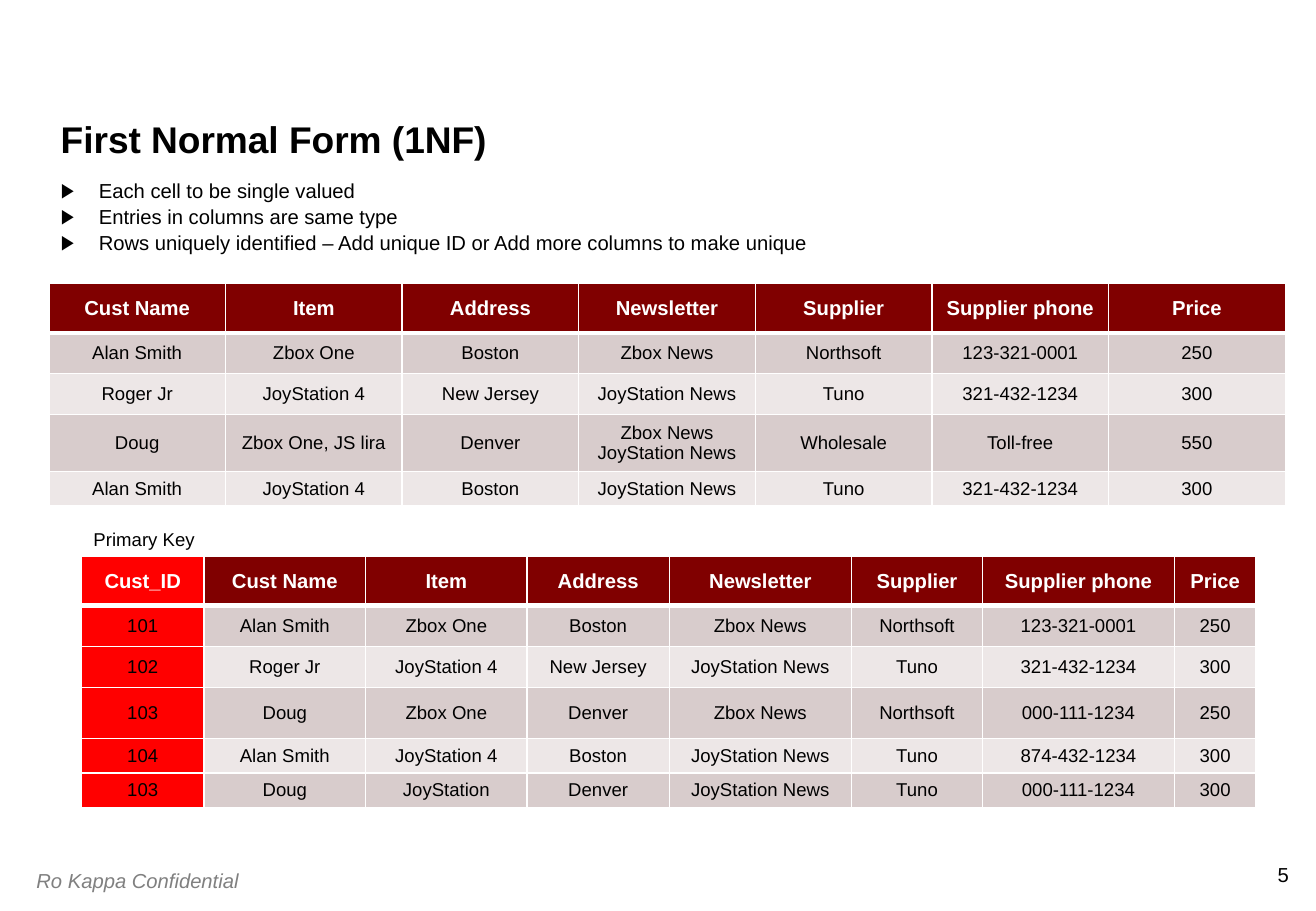
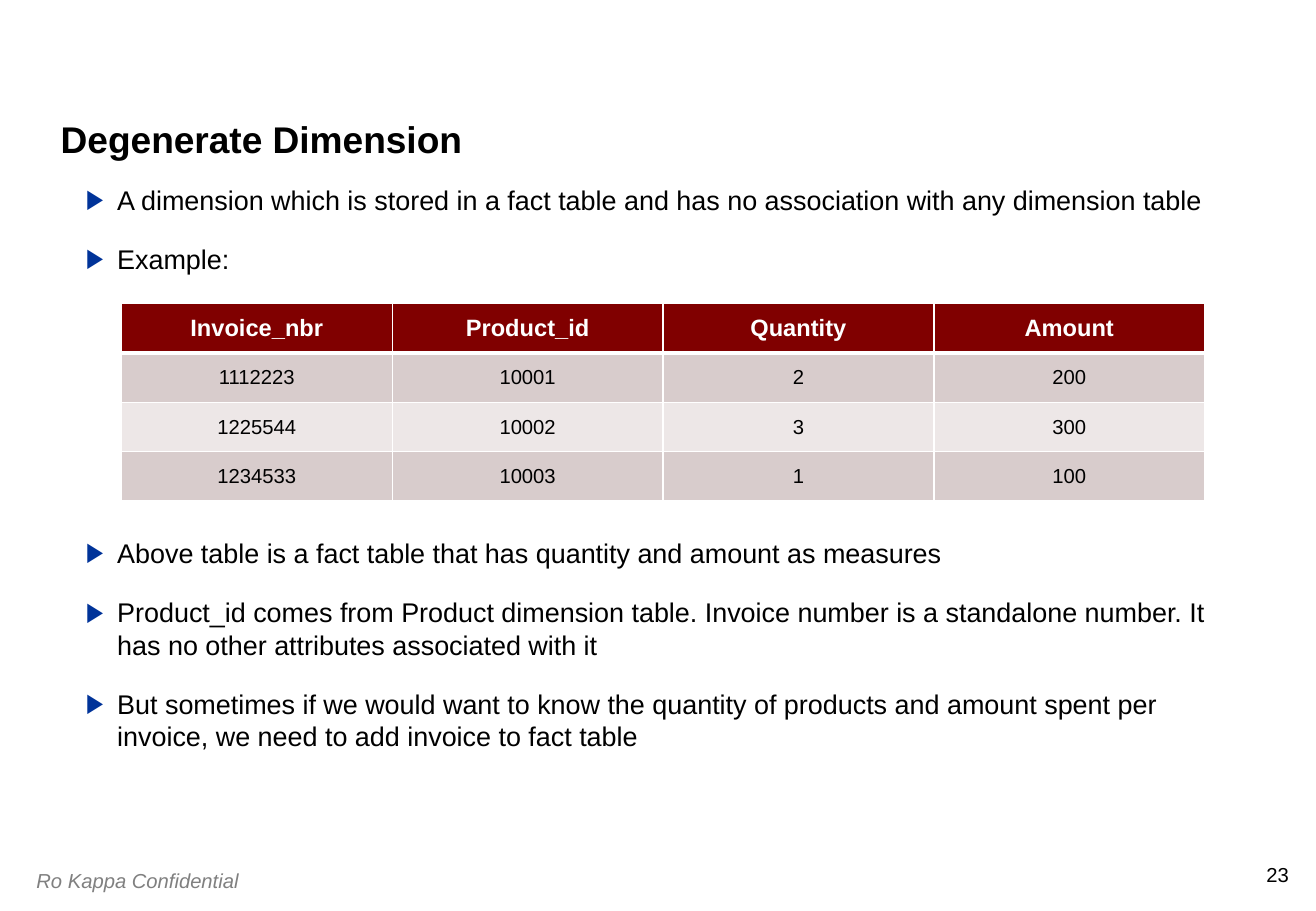
import pptx
import pptx.dml.color
import pptx.enum.text
import pptx.oxml
import pptx.oxml.ns
import pptx.util
from lxml import etree

Pt = pptx.util.Pt
ALIGN = pptx.enum.text.PP_ALIGN
ANCHOR = pptx.enum.text.MSO_ANCHOR


class Theme:
    font = "Arial"
    black = "000000"
    white = "FFFFFF"
    gray = "808080"
    header = "800000"
    key = "FF0000"
    bands = ("D8CCCC", "EDE7E7")
    accent = "003399"
    title_size = 22
    body_size = 16
    small_size = 12
    label_size = 11
    grid_line = 1
    header_line = 3


FOOTER = "Ro Kappa Confidential"

NORMAL_FORM_RULES = [
    "Each cell to be single valued",
    "Entries in columns are same type",
    "Rows uniquely identified – Add unique ID or Add more columns to make unique",
]
ORDER_COLUMNS = ("Cust Name", "Item", "Address", "Newsletter", "Supplier", "Supplier phone", "Price")
RAW_ORDERS = [
    ORDER_COLUMNS,
    ("Alan Smith", "Zbox One", "Boston", "Zbox News", "Northsoft", "123-321-0001", "250"),
    ("Roger Jr", "JoyStation 4", "New Jersey", "JoyStation News", "Tuno", "321-432-1234", "300"),
    ("Doug", "Zbox One, JS lira", "Denver", "Zbox News\nJoyStation News", "Wholesale", "Toll-free", "550"),
    ("Alan Smith", "JoyStation 4", "Boston", "JoyStation News", "Tuno", "321-432-1234", "300"),
]
KEYED_ORDERS = [
    ("Cust_ID", *ORDER_COLUMNS),
    ("101", *RAW_ORDERS[1]),
    ("102", *RAW_ORDERS[2]),
    ("103", "Doug", "Zbox One", "Denver", "Zbox News", "Northsoft", "000-111-1234", "250"),
    ("104", "Alan Smith", "JoyStation 4", "Boston", "JoyStation News", "Tuno", "874-432-1234", "300"),
    ("103", "Doug", "JoyStation", "Denver", "JoyStation News", "Tuno", "000-111-1234", "300"),
]
ORDER_HEIGHTS = [29.25, 24.25, 24.25, 30.25, 20.25]
KEYED_WIDTHS = [72.75, 95.75, 95.75, 84.25, 108, 77.75, 113.75, 48.25]

DEFINITION = [
    "A dimension which is stored in a fact table and has no association with any dimension table",
    "Example:",
]
INVOICES = [
    ("Invoice_nbr", "Product_id", "Quantity", "Amount"),
    ("1112223", "10001", "2", "200"),
    ("1225544", "10002", "3", "300"),
    ("1234533", "10003", "1", "100"),
]
EXPLANATION = [
    "Above table is a fact table that has quantity and amount as measures",
    "Product_id comes from Product dimension table. Invoice number is a standalone number. "
    "It has no other attributes associated with it",
    "But sometimes if we would want to know the quantity of products and amount spent per invoice, "
    "we need to add invoice to fact table",
]


def rgb(color):
    return pptx.dml.color.RGBColor.from_string(color)


def format_text(text_frame, size, color=Theme.black, bold=False, italic=False, align=ALIGN.LEFT):
    for paragraph in text_frame.paragraphs:
        paragraph.alignment = align
        for run in paragraph.runs:
            run.font.name = Theme.font
            run.font.size = Pt(size)
            run.font.bold = bold
            run.font.italic = italic
            run.font.color.rgb = rgb(color)


def add_text(slide, box, text, size, inset=True, wrap=True, anchor=ANCHOR.TOP, **style):
    shape = slide.shapes.add_textbox(*map(Pt, box))
    text_frame = shape.text_frame
    text_frame.word_wrap = wrap
    text_frame.vertical_anchor = anchor
    if not inset:
        text_frame.margin_left = text_frame.margin_right = 0
        text_frame.margin_top = text_frame.margin_bottom = 0
    text_frame.text = text
    format_text(text_frame, size, **style)
    return text_frame


def add_bullets(slide, box, items, size, indent, gap, color, inset):
    text_frame = add_text(slide, box, "\n".join(items), size, inset=inset)
    for index, paragraph in enumerate(text_frame.paragraphs):
        paragraph.space_before = Pt(gap if index else 0)
        properties = paragraph._p.get_or_add_pPr()
        properties.set("marL", str(Pt(indent)))
        properties.set("indent", str(-Pt(indent)))
        bullet_color = etree.SubElement(properties, pptx.oxml.ns.qn("a:buClr"))
        etree.SubElement(bullet_color, pptx.oxml.ns.qn("a:srgbClr"), val=color)
        etree.SubElement(properties, pptx.oxml.ns.qn("a:buFont"), typeface=Theme.font)
        etree.SubElement(properties, pptx.oxml.ns.qn("a:buChar"), char="▶")


def set_borders(cell, top, bottom):
    properties = cell._tc.get_or_add_tcPr()
    widths = {"lnL": Theme.grid_line, "lnR": Theme.grid_line, "lnT": top, "lnB": bottom}
    for side, width in widths.items():
        properties.append(pptx.oxml.parse_xml(
            f'<a:{side} {pptx.oxml.ns.nsdecls("a")} w="{Pt(width)}"><a:solidFill>'
            f'<a:srgbClr val="{Theme.white}"/></a:solidFill></a:{side}>'
        ))


def add_grid(slide, left, top, widths, heights, rows, header_size, cell_size, keyed=False):
    frame = slide.shapes.add_table(
        len(rows), len(widths), Pt(left), Pt(top), Pt(sum(widths)), Pt(sum(heights)))
    table = frame.table
    for column, width in zip(table.columns, widths):
        column.width = Pt(width)
    for row_index, (values, height) in enumerate(zip(rows, heights)):
        table.rows[row_index].height = Pt(height)
        is_header = row_index == 0
        row_fill = Theme.header if is_header else Theme.bands[(row_index - 1) % 2]
        for column_index, value in enumerate(values):
            cell = table.cell(row_index, column_index)
            set_borders(
                cell,
                Theme.header_line if row_index == 1 else Theme.grid_line,
                Theme.header_line if is_header else Theme.grid_line)
            cell.fill.solid()
            cell.fill.fore_color.rgb = rgb(Theme.key if keyed and column_index == 0 else row_fill)
            cell.vertical_anchor = ANCHOR.MIDDLE
            cell.text_frame.text = value
            format_text(
                cell.text_frame,
                header_size if is_header else cell_size,
                color=Theme.white if is_header else Theme.black,
                bold=is_header,
                align=ALIGN.CENTER)


def add_page(presentation, title, number):
    slide = presentation.slides.add_slide(presentation.slide_layouts[6])
    add_text(slide, (749, 511, 15, 14.5), number, Theme.small_size,
             inset=False, wrap=False, align=ALIGN.RIGHT)
    add_text(slide, (14.5, 511, 144, 21.5), FOOTER, Theme.small_size, color=Theme.gray, italic=True)
    heading = add_text(slide, (36, 30, 708, 66), title, Theme.title_size,
                       inset=False, anchor=ANCHOR.BOTTOM, bold=True)
    heading.paragraphs[0].line_spacing = 0.9
    return slide


def add_normal_form(presentation):
    slide = add_page(presentation, "First Normal Form (1NF)", "5")
    add_bullets(slide, (29, 102, 464, 60), NORMAL_FORM_RULES, Theme.small_size,
                indent=22.5, gap=1.2, color=Theme.black, inset=True)
    add_grid(slide, 29, 168, [104.7] * len(ORDER_COLUMNS), ORDER_HEIGHTS, RAW_ORDERS,
             Theme.small_size, Theme.label_size)
    add_grid(slide, 48.25, 329.75, KEYED_WIDTHS, ORDER_HEIGHTS + ORDER_HEIGHTS[-1:], KEYED_ORDERS,
             Theme.small_size, Theme.label_size, keyed=True)
    add_text(slide, (48, 309.5, 75, 20.5), "Primary Key", Theme.label_size,
             wrap=False, align=ALIGN.CENTER)


def add_degenerate_dimension(presentation):
    slide = add_page(presentation, "Degenerate Dimension", "23")
    for top, items in ((108.5, DEFINITION), (318, EXPLANATION)):
        add_bullets(slide, (51, top, 690, 65.5), items, Theme.body_size,
                    indent=18.5, gap=16, color=Theme.accent, inset=False)
    add_grid(slide, 72, 180, [160.5] * len(INVOICES[0]), [29.25] * len(INVOICES), INVOICES,
             14, Theme.small_size)


def main():
    presentation = pptx.Presentation()
    presentation.slide_width = Pt(780)
    presentation.slide_height = Pt(540)
    add_normal_form(presentation)
    add_degenerate_dimension(presentation)
    presentation.save("out.pptx")


if __name__ == "__main__":
    main()
